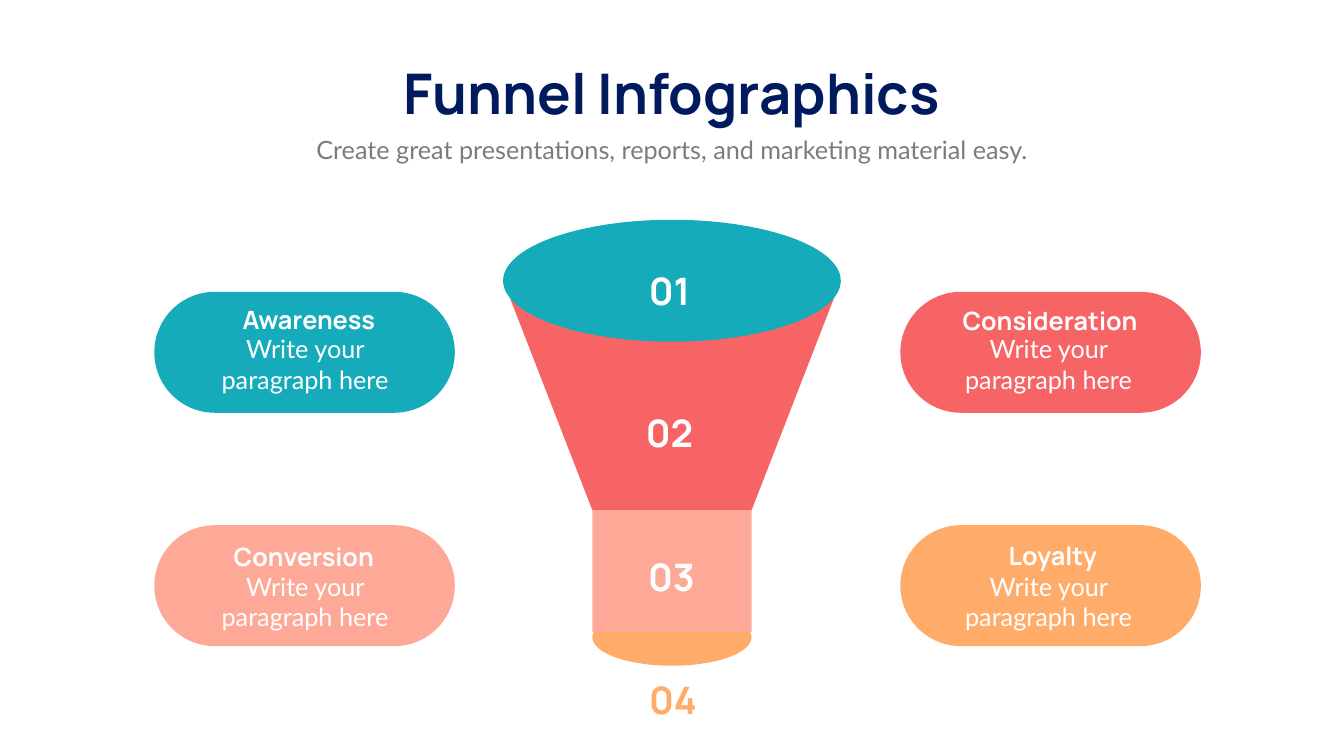
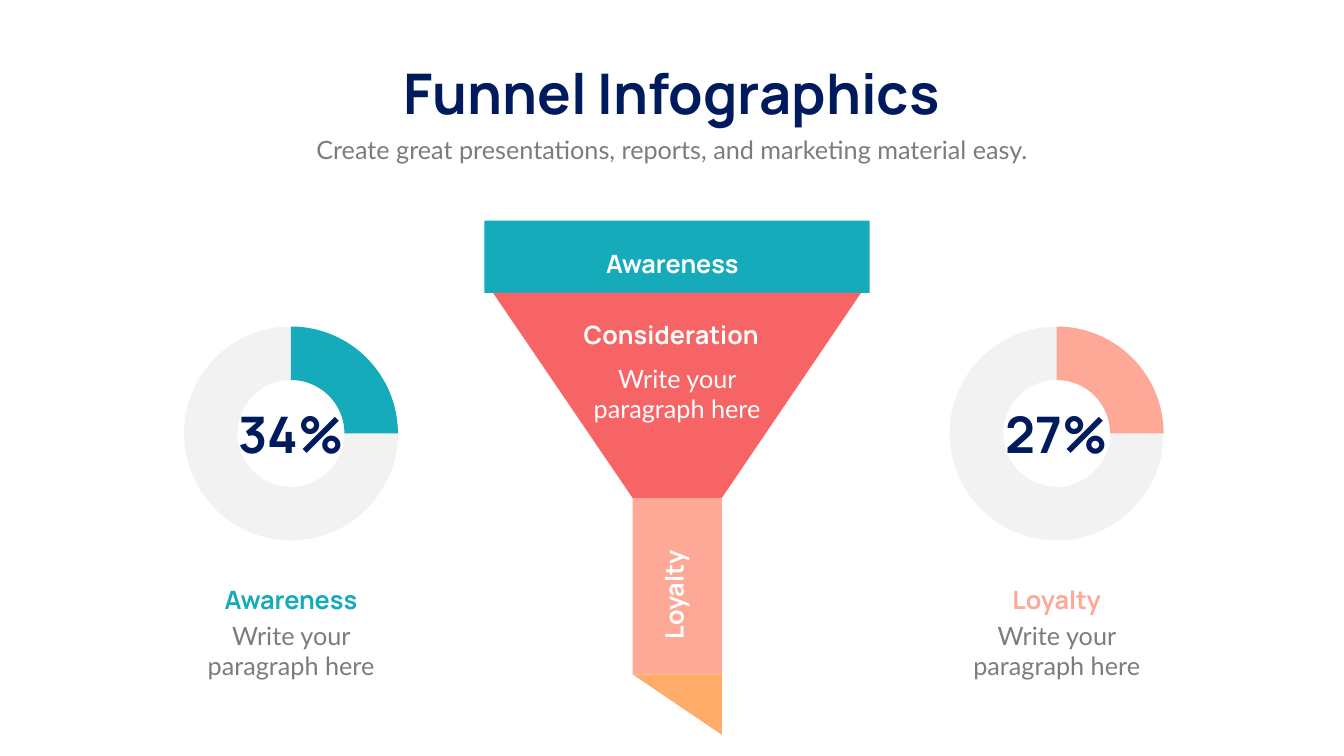
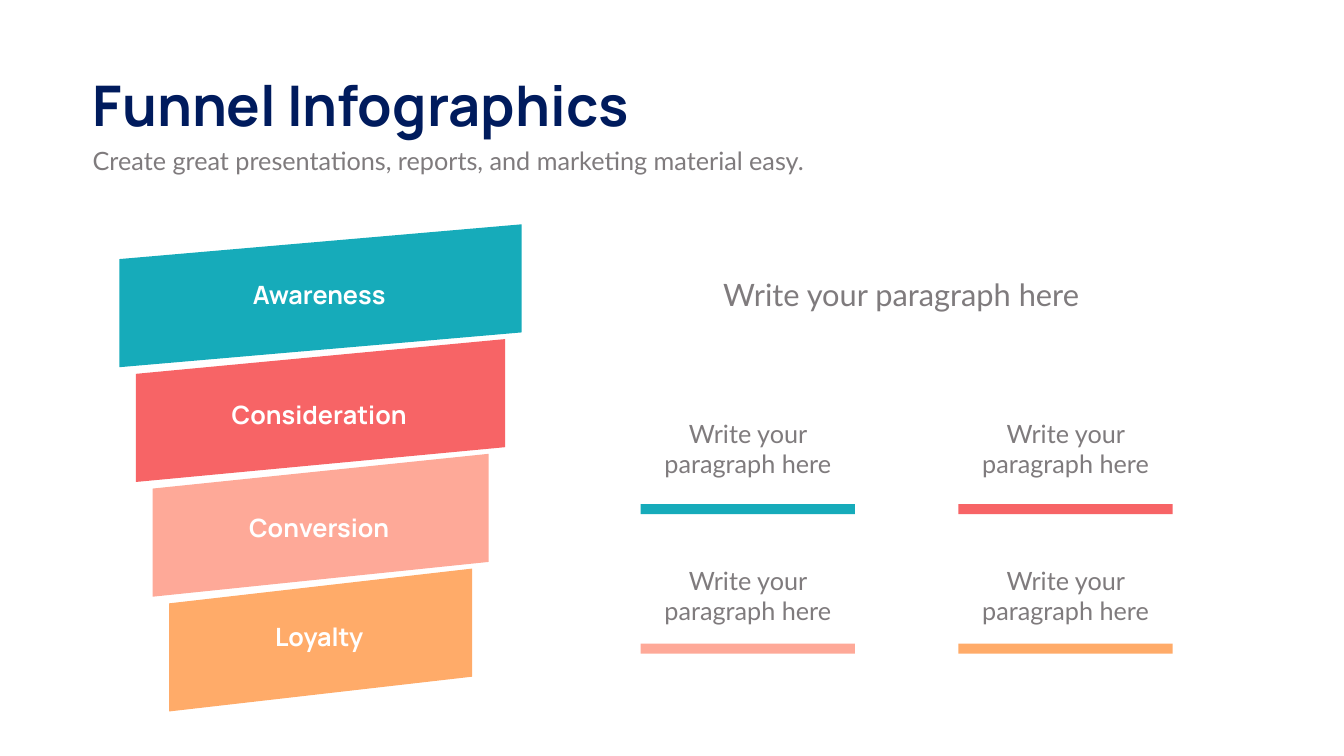
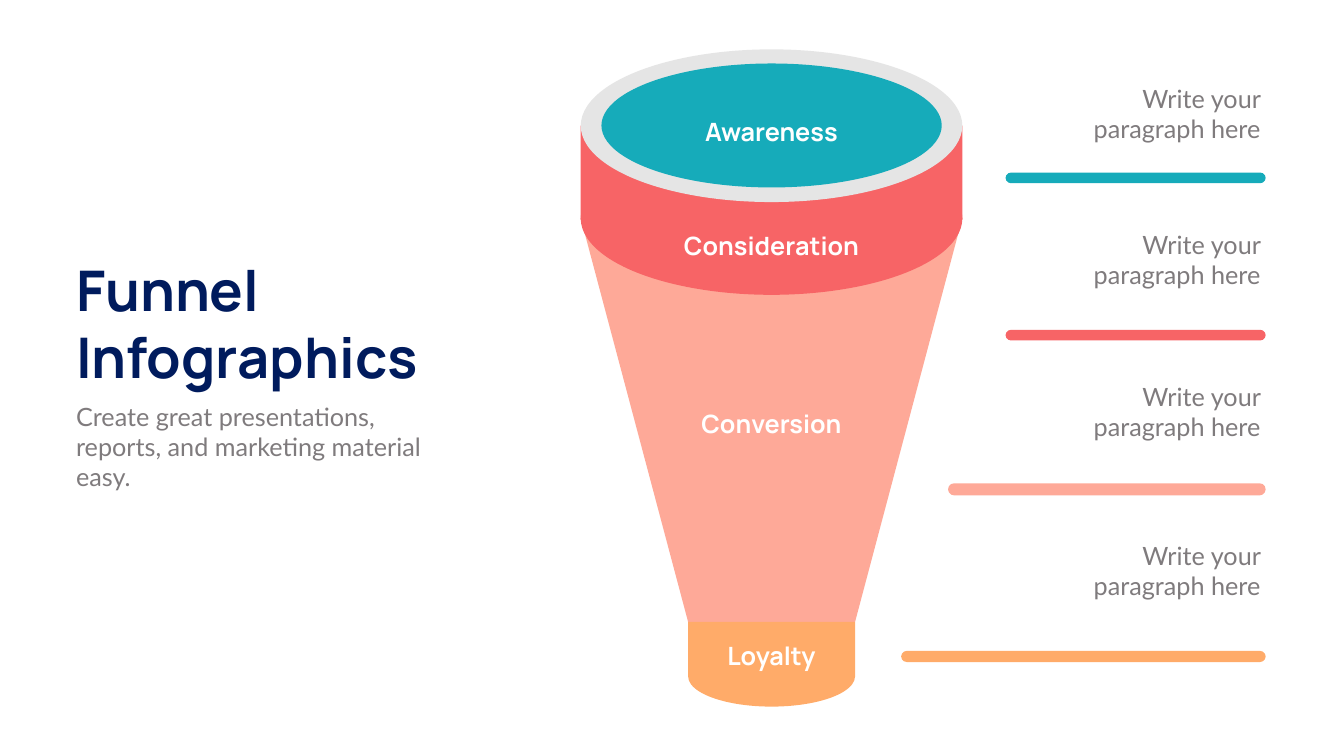
from lxml import etree
from pptx import Presentation
from pptx.chart.data import CategoryChartData
from pptx.dml.color import RGBColor
from pptx.enum.chart import XL_CHART_TYPE
from pptx.enum.shapes import MSO_SHAPE
from pptx.enum.text import MSO_AUTO_SIZE, PP_ALIGN
from pptx.oxml.ns import qn
from pptx.util import Inches, Pt

TEAL = RGBColor(0x16, 0xAB, 0xBA)
RED = RGBColor(0xF7, 0x64, 0x66)
PINK = RGBColor(0xFE, 0xA9, 0x98)
ORANGE = RGBColor(0xFF, 0xAB, 0x69)
NAVY = RGBColor(0x00, 0x1B, 0x5D)
GREY = RGBColor(0x7F, 0x7B, 0x7D)
TRACK = RGBColor(0x80, 0x80, 0x80)
RIM = RGBColor(0xE5, 0xE5, 0xE5)
WHITE = RGBColor(0xFF, 0xFF, 0xFF)

HEADING = dict(font="Manrope", bold=True)
TITLE = dict(font="Manrope", bold=True, size=80, colour=NAVY, wrap=False)
PROMPT = "Write your paragraph here"
ONE_LINE, TWO_LINES = 4.73, 8.73
STAGES = [("Awareness", TEAL), ("Consideration", RED),
          ("Conversion", PINK), ("Loyalty", ORANGE)]

presentation = Presentation()
presentation.slide_width = Inches(26.66)
presentation.slide_height = Inches(15)

# All lengths are percent of the slide: COLUMN across, ROW down.
COLUMN = presentation.slide_width / 100
ROW = presentation.slide_height / 100


def add_text(slide, text, left, top, width, height=ONE_LINE, *, size=36,
             font="Lato", colour=GREY, bold=False, align=PP_ALIGN.CENTER,
             wrap=True, rotation=0, spacing=None):
    box = slide.shapes.add_textbox(int(left * COLUMN), int(top * ROW),
                                   int(width * COLUMN), int(height * ROW))
    box.rotation = rotation
    frame = box.text_frame
    frame.word_wrap = wrap
    frame.auto_size = MSO_AUTO_SIZE.SHAPE_TO_FIT_TEXT
    frame.text = text
    for paragraph in frame.paragraphs:
        paragraph.alignment = align
        paragraph.line_spacing = spacing
        run_font = paragraph.runs[0].font
        run_font.name, run_font.size, run_font.bold = font, Pt(size), bold
        run_font.color.rgb = colour


def add_block(slide, colour, kind, *geometry):
    """Draw a flat preset from left, top, width, height, or an outline from points if kind is None."""
    if kind is None:
        points = [(int(x * COLUMN), int(y * ROW)) for x, y in geometry]
        builder = slide.shapes.build_freeform(*points[0])
        builder.add_line_segments(points[1:], close=True)
        shape = builder.convert_to_shape()
    else:
        left, top, width, height = geometry
        shape = slide.shapes.add_shape(kind, int(left * COLUMN), int(top * ROW),
                                       int(width * COLUMN), int(height * ROW))
        if kind == MSO_SHAPE.ROUNDED_RECTANGLE:
            shape.adjustments[0] = 0.5
    shape.shadow.inherit = False
    shape.fill.solid()
    shape.fill.fore_color.rgb = colour
    shape.line.fill.background()


# Slides with their title and subtitle
SUBTITLE = "Create great presentations, reports, and marketing material easy."
centred = ("Funnel Infographics", PP_ALIGN.CENTER,
           (28.02, 7.47, 43.92, 9.67), (10.95, 17.4, 78.09, ONE_LINE))
left_aligned = ("Funnel Infographics", PP_ALIGN.LEFT,
                (6.53, 9, 43.92, 9.67), (6.53, 18.93, 78.09, ONE_LINE))
stacked = ("Funnel\nInfographics", PP_ALIGN.LEFT,
           (5.29, 33.47, 28.43, 18.6), (5.29, 52.73, 29.71, 13))
slides = []
for title, align, title_box, subtitle_box in (centred, centred, left_aligned, stacked):
    slide = presentation.slides.add_slide(presentation.slide_layouts[6])
    add_text(slide, title, *title_box, align=align, **TITLE)
    add_text(slide, SUBTITLE, *subtitle_box, align=align)
    slides.append(slide)
round_slide, chart_slide, slanted_slide, cup_slide = slides

# Slide 1: round funnel between four pills
PILL_COLUMNS, PILL_ROWS = (11.48, 66.99), (38.6, 69.47)
heading_places = [(13.62, 39.93, 18.72), (68.19, 40.07, 19.88),
                  (13.24, 71.27, 18.72), (68.98, 71.2, 18.72)]
for index, ((name, colour), place) in enumerate(zip(STAGES, heading_places)):
    row, column = divmod(index, 2)
    add_block(round_slide, colour, MSO_SHAPE.ROUNDED_RECTANGLE,
              PILL_COLUMNS[column], PILL_ROWS[row], 22.36, 16)
    add_text(round_slide, name, *place, colour=WHITE, **HEADING)
    add_text(round_slide, PROMPT, (15.57, 70.89)[column], (43.8, 75.2)[row],
             14.25, TWO_LINES, colour=WHITE)

add_block(round_slide, RED, None, (55.93, 67.47), (44.07, 67.47),
          (37.43, 37.07), (62.57, 37.07))
add_block(round_slide, TEAL, MSO_SHAPE.OVAL, 37.43, 29.07, 25.13, 16.13)
add_block(round_slide, ORANGE, MSO_SHAPE.OVAL, 44.07, 80.53, 11.85, 7.53)
add_block(round_slide, PINK, MSO_SHAPE.RECTANGLE, 44.07, 67.47, 11.85, 16.13)
for number, left, top, colour in (("01", 43.7, 35.07, WHITE), ("02", 43.7, 53.93, WHITE),
                                  ("03", 43.85, 72.93, WHITE), ("04", 43.96, 89.2, ORANGE)):
    add_text(round_slide, number, left, top, 12.23, 6.73, size=54, colour=colour, **HEADING)

# Slide 2: flat funnel between two doughnut charts
for name, share, colour, centre, label_width in (("Awareness", "34%", TEAL, 21.65, 12.75),
                                                 ("Loyalty", "27%", PINK, 78.62, 11.1)):
    data = CategoryChartData()
    data.categories = ["1", "2"]
    data.add_series("Series 1", (25, 75))
    chart = chart_slide.shapes.add_chart(
        XL_CHART_TYPE.DOUGHNUT, int((centre - 8.74) * COLUMN), int(42.27 * ROW),
        int(17.48 * COLUMN), int(30.13 * ROW), data).chart
    chart.has_legend = chart.has_title = False
    chart.font.name, chart.font.size = "Calibri", Pt(10)
    chart.font.color.rgb = GREY
    plot = chart.plots[0]
    plot.vary_by_categories = True
    plot.has_data_labels = False
    for index, slice_colour in enumerate((colour, TRACK)):
        point_format = plot.series[0].points[index].format
        point_format.fill.solid()
        point_format.fill.fore_color.rgb = slice_colour
        point_format.line.fill.background()
    chart_root = chart.element
    track_colour = chart_root.findall(".//" + qn("c:dPt"))[1].find(".//" + qn("a:srgbClr"))
    etree.SubElement(track_colour, qn("a:alpha")).set("val", "10000")
    chart_root.find(".//" + qn("c:holeSize")).set("val", "80")

    add_text(chart_slide, share, centre - 7.93, 52.93, 15.87, TWO_LINES,
             size=72, colour=NAVY, **HEADING)
    add_text(chart_slide, name, centre - label_width / 2, 77.2, label_width,
             colour=colour, spacing=Pt(40.8), **HEADING)
    add_text(chart_slide, PROMPT, centre - 6.97, 81.73, 13.95, TWO_LINES)

add_block(chart_slide, TEAL, MSO_SHAPE.RECTANGLE, 36.05, 29.2, 28.66, 9.53)
add_block(chart_slide, RED, None, (53.71, 65.87), (47.07, 65.87),
          (36.68, 38.73), (64.07, 38.73))
add_block(chart_slide, PINK, MSO_SHAPE.RECTANGLE, 47.07, 65.87, 6.64, 23.33)
add_block(chart_slide, ORANGE, None, (47.07, 89.2), (53.71, 89.2), (53.71, 97.2))
for name, left, top, width, rotation in (("Awareness", 42.24, 32.47, 15.57, 0),
                                         ("Consideration", 39.08, 41.87, 21.72, 0),
                                         ("Loyalty", 46.06, 76.33, 8.14, 270)):
    add_text(chart_slide, name, left, top, width, colour=WHITE, rotation=rotation, **HEADING)
add_text(chart_slide, PROMPT, 42.5, 47.67, 15.75, TWO_LINES, colour=WHITE)

# Slide 3: slanted bands that narrow evenly, and a grid of underlined prompts
BAND_STEP, BAND_INSET, BAND_HEIGHT, SLANT = 15.18, 1.23, 14.3, 4.6
label_places = [(36.67, 15.57), (52.47, 21.72), (67.47, 21.72), (81.8, 8.14)]
for index, ((name, colour), (label_top, width)) in enumerate(zip(STAGES, label_places)):
    left, right = 8.89 + index * BAND_INSET, 38.82 - index * BAND_INSET
    top = 29.67 + index * BAND_STEP
    add_block(slanted_slide, colour, None, (right, top + BAND_HEIGHT),
              (left, top + SLANT + BAND_HEIGHT), (left, top + SLANT), (right, top))
    add_text(slanted_slide, name, 23.75 - width / 2, label_top, width, colour=WHITE, **HEADING)

    row, column = divmod(index, 2)
    prompt_left = (47.67, 71.31)[column]
    add_text(slanted_slide, PROMPT, prompt_left, (55, 74.4)[row], 15.94, TWO_LINES)
    add_block(slanted_slide, colour, MSO_SHAPE.RECTANGLE,
              prompt_left, (66.67, 85.13)[row], 15.94, 1.33)
add_text(slanted_slide, PROMPT, 48.91, 36.13, 36.31, 5.6, size=44)

# Slide 4: cup-shaped funnel with prompts over right-aligned bars
add_block(cup_slide, PINK, None, (63.62, 82.27), (51.2, 82.27), (43.21, 28.87), (71.6, 28.87))
for colour, kind, *box in ((RED, MSO_SHAPE.OVAL, 43.21, 18.8, 28.39, 20.2),
                           (RED, MSO_SHAPE.RECTANGLE, 43.21, 16.6, 28.39, 12.5),
                           (RIM, MSO_SHAPE.OVAL, 43.21, 6.53, 28.39, 20.2),
                           (TEAL, MSO_SHAPE.OVAL, 44.75, 8.4, 25.32, 16.4),
                           (ORANGE, MSO_SHAPE.OVAL, 51.2, 85.47, 12.42, 8),
                           (ORANGE, MSO_SHAPE.RECTANGLE, 51.2, 82.27, 12.42, 7.2)):
    add_block(cup_slide, colour, kind, *box)

CUP_CENTRE, BAR_RIGHT = 57.4, 94.17
# Label top and width, prompt top, bar top, width and height
cup_rows = [(15, 14.48, 10.67, 22.83, 19.35, 1.4), (30.2, 17.07, 30, 43.63, 19.35, 1.4),
            (53.73, 19.35, 50.13, 63.93, 23.63, 1.6), (84.4, 8.14, 71.13, 86.1, 27.12, 1.47)]
for (name, colour), cup_row in zip(STAGES, cup_rows):
    label_top, label_width, prompt_top, bar_top, bar_width, bar_height = cup_row
    add_text(cup_slide, name, CUP_CENTRE - label_width / 2, label_top, label_width,
             colour=WHITE, **HEADING)
    add_text(cup_slide, PROMPT, 79.48, prompt_top, 14.67, TWO_LINES, align=PP_ALIGN.RIGHT)
    add_block(cup_slide, colour, MSO_SHAPE.ROUNDED_RECTANGLE,
              BAR_RIGHT - bar_width, bar_top, bar_width, bar_height)

presentation.save("out.pptx")
